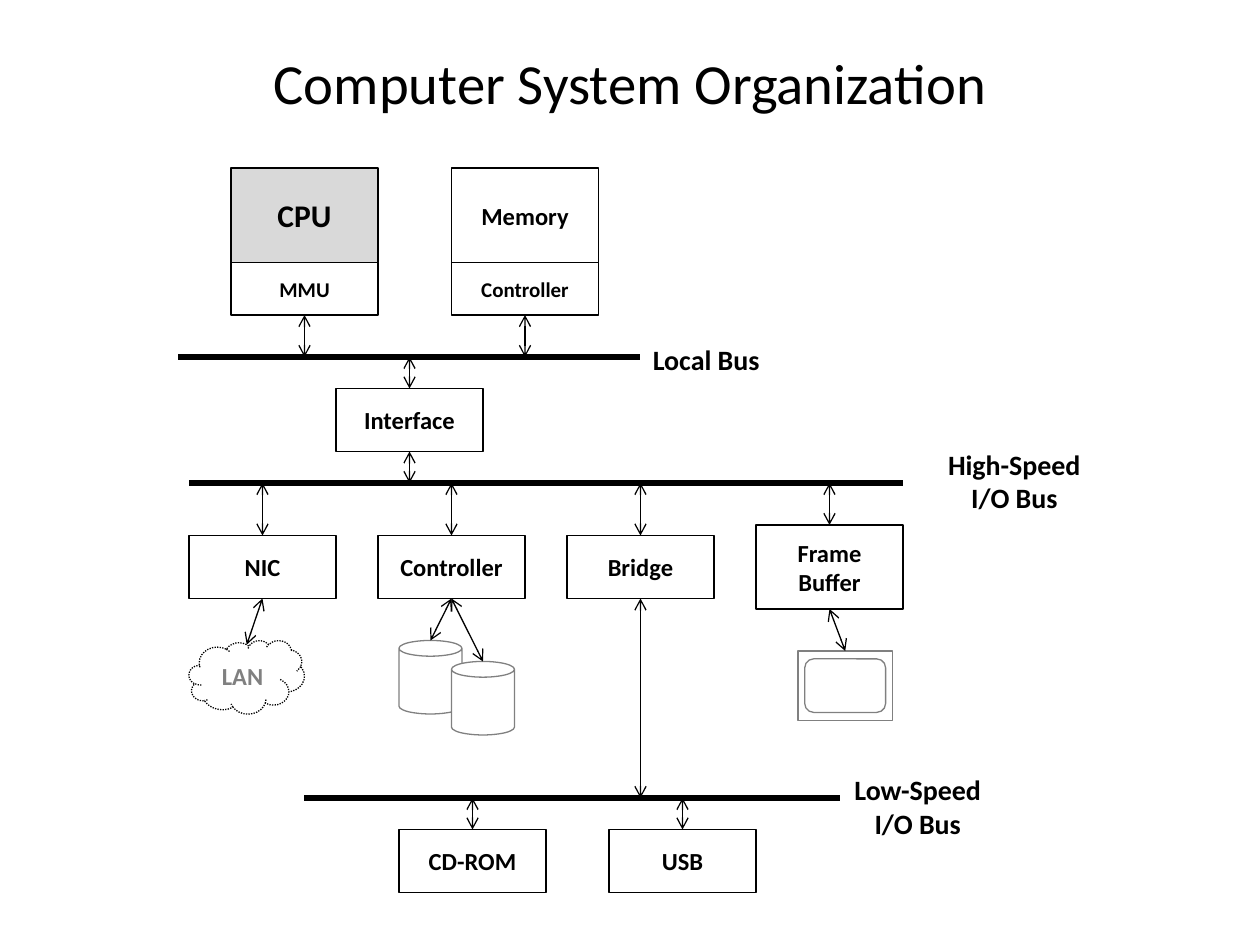
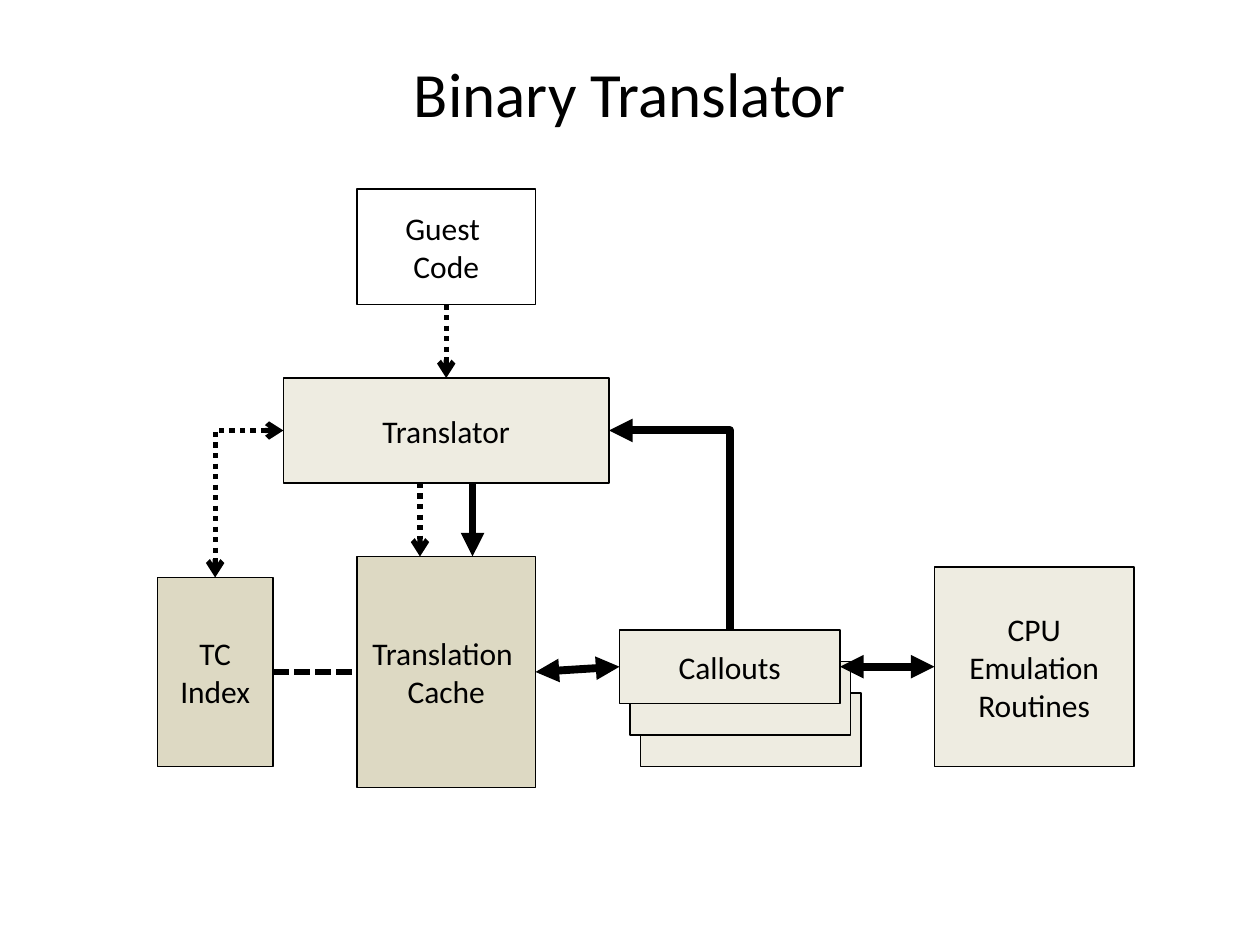
from dataclasses import dataclass
from typing import Optional

from lxml.etree import SubElement
from pptx import Presentation
from pptx.dml.color import RGBColor
from pptx.enum.dml import MSO_LINE
from pptx.enum.shapes import MSO_CONNECTOR, MSO_SHAPE
from pptx.enum.text import MSO_ANCHOR, MSO_AUTO_SIZE, PP_ALIGN
from pptx.oxml.ns import qn
from pptx.shapes.shapetree import _BaseShapes
from pptx.slide import Slide
from pptx.text.text import TextFrame
from pptx.util import Cm, Length, Pt

COLORS = {
    "ink": "000000",
    "paper": "FFFFFF",
    "device": "808080",
    "cpu": "D9D9D9",
    "module": "EEECE1",
    "store": "DDD9C3",
}
FONT = "Calibri"
TITLE_ONLY = 5
THIN, BUS, HEAVY = 0.75, 3, 4.5


def grid(n: float) -> Length:
    return Cm(n * 2.54 / 12)


def rgb(name: str) -> RGBColor:
    return RGBColor.from_string(COLORS[name])


@dataclass
class Box:
    x: float
    y: float
    w: float
    h: float
    text: str = ""
    size: float = 14
    bold: bool = True
    fill: str = "paper"
    line: str = "ink"
    color: str = "ink"
    shape: MSO_SHAPE = MSO_SHAPE.RECTANGLE
    dash: Optional[MSO_LINE] = None


@dataclass
class Link:
    x1: float
    y1: float
    x2: float
    y2: float
    width: float = THIN
    head: Optional[str] = None
    tail: Optional[str] = None
    dash: Optional[MSO_LINE] = None
    bent: bool = False


@dataclass
class Label:
    x: float
    y: float
    w: float
    h: float
    text: str
    align: PP_ALIGN = PP_ALIGN.CENTER


def set_text(tf: TextFrame, text: str, size: float, bold: bool = False,
             color: str = "ink", align: PP_ALIGN = PP_ALIGN.CENTER) -> None:
    tf.text = text
    for p in tf.paragraphs:
        p.alignment = align
        p.font.name = FONT
        p.font.size = Pt(size)
        p.font.bold = bold
        p.font.color.rgb = rgb(color)


def add_titled_slide(prs: Presentation, text: str, size: float, height: float) -> Slide:
    s = prs.slides.add_slide(prs.slide_layouts[TITLE_ONLY])
    sp = s.shapes.title
    sp.left, sp.top, sp.width, sp.height = grid(6), grid(3.6), grid(108), grid(height)
    tf = sp.text_frame
    tf.auto_size = MSO_AUTO_SIZE.NONE
    tf.vertical_anchor = MSO_ANCHOR.MIDDLE
    set_text(tf, text, size)
    return s


def draw_box(shapes: _BaseShapes, b: Box) -> None:
    sp = shapes.add_shape(b.shape, grid(b.x), grid(b.y), grid(b.w), grid(b.h))
    sp.shadow.inherit = False
    sp.fill.solid()
    sp.fill.fore_color.rgb = rgb(b.fill)
    sp.line.color.rgb = rgb(b.line)
    sp.line.width = Pt(THIN)
    if b.dash:
        sp.line.dash_style = b.dash
    if b.text:
        set_text(sp.text_frame, b.text, b.size, b.bold, b.color)


def draw_link(shapes: _BaseShapes, k: Link) -> None:
    kind = MSO_CONNECTOR.ELBOW if k.bent else MSO_CONNECTOR.STRAIGHT
    sp = shapes.add_connector(kind, grid(k.x1), grid(k.y1), grid(k.x2), grid(k.y2))
    sp.line.color.rgb = rgb("ink")
    sp.line.width = Pt(k.width)
    if k.dash:
        sp.line.dash_style = k.dash
    props = sp.element.spPr
    if k.bent:
        props.find(qn("a:prstGeom")).set("prst", "bentConnector2")
    ln = props.find(qn("a:ln"))
    for tag, arrow in (("a:headEnd", k.head), ("a:tailEnd", k.tail)):
        if arrow:
            SubElement(ln, qn(tag), type=arrow)
    SubElement(props, qn("a:effectLst"))


def draw_label(shapes: _BaseShapes, b: Label) -> None:
    sp = shapes.add_textbox(grid(b.x), grid(b.y), grid(b.w), grid(b.h))
    tf = sp.text_frame
    tf.word_wrap = False
    tf.auto_size = MSO_AUTO_SIZE.SHAPE_TO_FIT_TEXT
    set_text(tf, b.text, 16, True, align=b.align)


def device(x: float, y: float, w: float, h: float, shape: MSO_SHAPE) -> Box:
    return Box(x, y, w, h, line="device", shape=shape)


def two_way(x1: float, y1: float, x2: float, y2: float) -> Link:
    return Link(x1, y1, x2, y2, head="arrow", tail="arrow")


def module(x: float, y: float, w: float, h: float, text: str = "",
           fill: str = "module") -> Box:
    return Box(x, y, w, h, text, 18, False, fill)


def build_computer_system(prs: Presentation) -> None:
    shapes = add_titled_slide(prs, "Computer System Organization", 32.4, 8.4).shapes
    card_w, card_h = 14, 6
    local_y, high_y, low_y = 34, 46, 76
    cards = [18 + 18 * i for i in range(4)]
    centers = [x + card_w / 2 for x in cards]
    nic, disk, bridge, frame = centers

    boxes = [
        Box(22, 16, card_w, 9, "CPU", 18, fill="cpu"),
        Box(22, 25, card_w, 5, "MMU", 12),
        Box(43, 16, card_w, 9, "Memory"),
        Box(43, 25, card_w, 5, "Controller", 12),
        Box(32, 37, card_w, card_h, "Interface"),
        *(Box(x, 51, card_w, card_h, text)
          for x, text in zip(cards, ("NIC", "Controller", "Bridge"))),
        Box(cards[3], 50, card_w, 8, "Frame Buffer"),
        device(38, 61, 6, 7, MSO_SHAPE.CAN),
        device(43, 63, 6, 7, MSO_SHAPE.CAN),
        Box(18, 61, 11, 7, "LAN", color="device", shape=MSO_SHAPE.CLOUD,
            dash=MSO_LINE.ROUND_DOT),
        Box(58, 79, card_w, card_h, "USB"),
        Box(38, 79, card_w, card_h, "CD-ROM"),
    ]
    for b in boxes:
        draw_box(shapes, b)

    monitor = shapes.add_group_shape().shapes
    draw_box(monitor, device(76, 62, 9, 6.6, MSO_SHAPE.RECTANGLE))
    draw_box(monitor, device(76.65, 62.75, 7.7, 5.1, MSO_SHAPE.ROUNDED_RECTANGLE))

    for x1, x2, y in ((17, 61, local_y), (18, 86, high_y), (29, 80, low_y)):
        draw_link(shapes, Link(x1, y, x2, y, BUS))

    for b in (
        Label(61, 32, 12.7, 4.4, "Local Bus", PP_ALIGN.LEFT),
        Label(89, 42, 15.2, 7.7, "High-Speed\nI/O Bus"),
        Label(80, 73, 14.8, 7.7, "Low-Speed\nI/O Bus"),
    ):
        draw_label(shapes, b)

    links = [
        *(two_way(x, 30, x, local_y) for x in (29, 50)),
        two_way(39, local_y, 39, 37),
        two_way(39, 43, 39, high_y),
        *(two_way(x, high_y, x, 51) for x in centers[:3]),
        two_way(frame, high_y, frame, 50),
        two_way(nic, 57, 23.5, 61.4),
        two_way(disk, 57, 41, 61),
        two_way(disk, 57, 46, 63),
        two_way(bridge, 57, bridge, low_y),
        two_way(frame, 58, 80.5, 62),
        *(two_way(x, 79, x, low_y) for x in (65, 45)),
    ]
    for k in links:
        draw_link(shapes, k)


def build_binary_translator(prs: Presentation) -> None:
    shapes = add_titled_slide(prs, "Binary Translator", 36, 10.4).shapes
    for b in (
        module(27, 36, 31, 10, "Translator"),
        module(34, 18, 17, 11, "Guest \nCode", "paper"),
        module(34, 53, 17, 22, "Translation \nCache", "store"),
        module(15, 55, 11, 18, "TC\nIndex", "store"),
        module(89, 54, 19, 19, "CPU Emulation\nRoutines"),
    ):
        draw_box(shapes, b)

    callouts = shapes.add_group_shape().shapes
    for i, text in ((2, ""), (1, ""), (0, "Callouts")):
        draw_box(callouts, module(59 + i, 60 + 3 * i, 21, 7, text))

    dots = MSO_LINE.ROUND_DOT
    for k in (
        Link(40, 46, 40, 53, BUS, tail="arrow", dash=dots),
        Link(42.5, 29, 42.5, 36, BUS, tail="arrow", dash=dots),
        Link(26, 64, 34, 64, BUS, dash=MSO_LINE.SQUARE_DOT),
        Link(51, 64, 59, 63.5, HEAVY, "triangle", "triangle"),
        Link(80, 63.5, 89, 63.5, HEAVY, "triangle", "triangle"),
        Link(58, 41, 69.5, 60, HEAVY, head="triangle", bent=True),
        Link(27, 41, 20.5, 55, BUS, "arrow", "arrow", dots, True),
        Link(45, 46, 45, 53, HEAVY, tail="triangle"),
    ):
        draw_link(shapes, k)


prs = Presentation()
prs.slide_width, prs.slide_height = Cm(25.4), Cm(19.05)
build_computer_system(prs)
build_binary_translator(prs)
prs.save("out.pptx")
